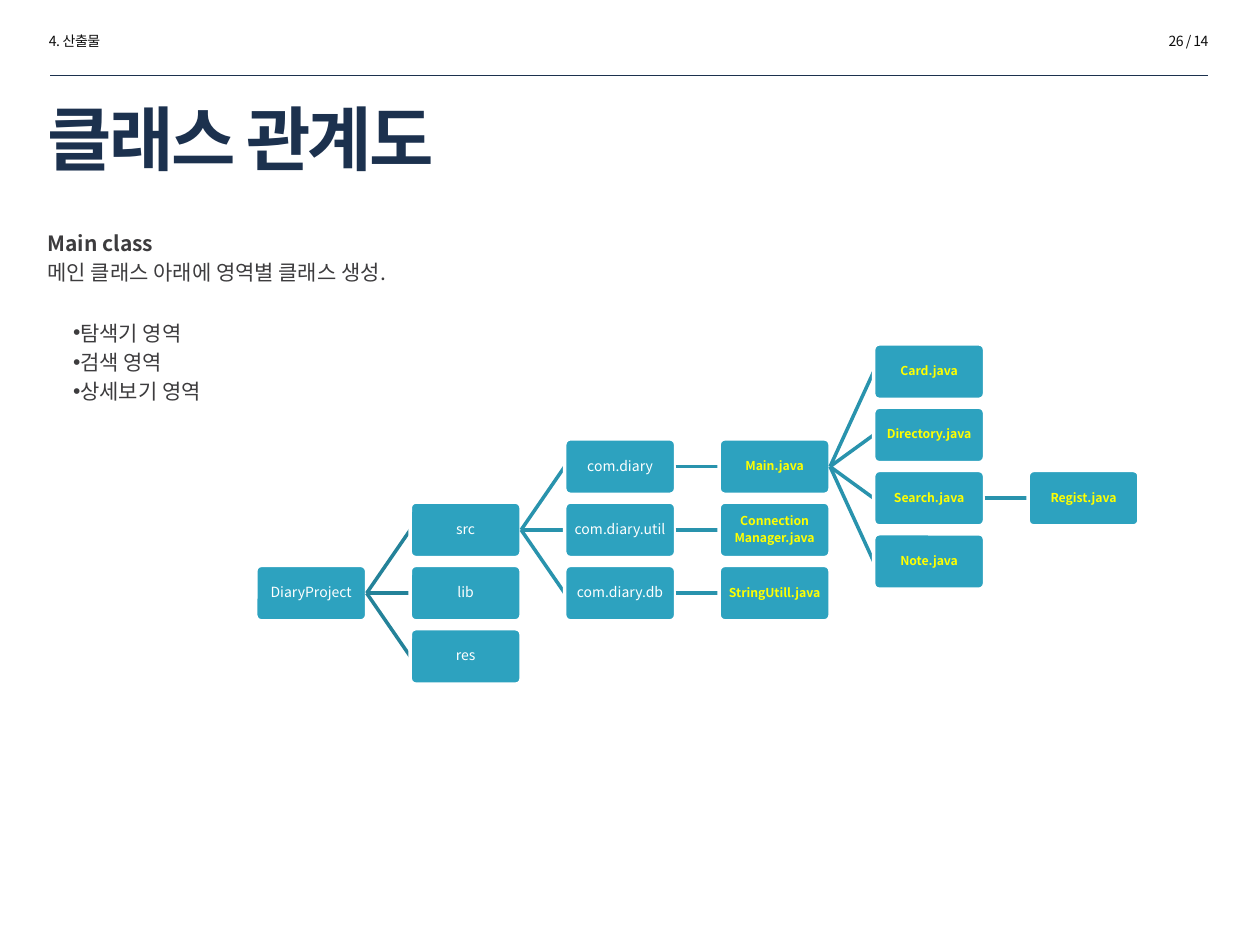
from lxml import etree
from pptx import Presentation
from pptx.dml.color import RGBColor
from pptx.enum.shapes import MSO_CONNECTOR, MSO_SHAPE
from pptx.enum.text import MSO_ANCHOR, MSO_AUTO_SIZE, PP_ALIGN
from pptx.oxml.ns import qn
from pptx.util import Inches, Pt

STRAIGHT = MSO_CONNECTOR.STRAIGHT
ROUNDED = MSO_SHAPE.ROUNDED_RECTANGLE
LEFT, CENTER, RIGHT = PP_ALIGN.LEFT, PP_ALIGN.CENTER, PP_ALIGN.RIGHT
TOP, MIDDLE = MSO_ANCHOR.TOP, MSO_ANCHOR.MIDDLE
RIGHT_SIDE, LEFT_SIDE = 3, 1

NAVY = RGBColor(0x1C, 0x31, 0x4E)
BLACK = RGBColor(0x0D, 0x0D, 0x0D)
GREY = RGBColor(0x3D, 0x3C, 0x3E)
TEAL = RGBColor(0x2D, 0xA2, 0xBF)
ROOT_LINE = RGBColor(0x24, 0x82, 0x99)
BRANCH_LINE = RGBColor(0x29, 0x93, 0xAD)
WHITE = RGBColor(0xFF, 0xFF, 0xFF)
YELLOW = RGBColor(0xFF, 0xFF, 0x00)

FONT = "Noto Sans CJK KR"
MARGIN = 0.28
TEXT_WIDTH = 9.26
TREE_LEFT, TREE_TOP = 2.03, 2.73
COLUMN = (8.16 - TREE_LEFT) / 5
ROW = (4.99 - TREE_TOP) / 4.5
NODE_WIDTH, NODE_HEIGHT = 0.88, 0.44

TREE = ("DiaryProject", 3.5, [
    ("src", 2.5, [
        ("com.diary", 1.5, [
            ("Main.java", 1.5, [
                ("Card.java", 0, []),
                ("Directory.java", 1, []),
                ("Search.java", 2, [("Regist.java", 2, [])]),
                ("Note.java", 3, []),
            ]),
        ]),
        ("com.diary.util", 2.5, [("Connection\nManager.java", 2.5, [])]),
        ("com.diary.db", 3.5, [("StringUtill.java", 3.5, [])]),
    ]),
    ("lib", 3.5, []),
    ("res", 4.5, []),
])


def place(box, left, top, width, height):
    box.left, box.top = Inches(left), Inches(top)
    box.width, box.height = Inches(width), Inches(height)


def add_span(para, text, size, color, bold=False, spacing=0):
    span = para.add_run()
    span.text = text
    span.font.name = FONT
    span.font.size = Pt(size)
    span.font.bold = bold
    span.font.color.rgb = color
    properties = span.font._element
    etree.SubElement(properties, qn("a:ea")).set("typeface", FONT)
    if spacing:
        properties.set("spc", str(round(spacing * 100)))


def next_para(frame, index):
    return frame.add_paragraph() if index else frame.paragraphs[0]


def prepare_frame(box, anchor=TOP):
    frame = box.text_frame
    frame.word_wrap = True
    frame.auto_size = MSO_AUTO_SIZE.NONE
    frame.vertical_anchor = anchor
    return frame


def add_title(page, text):
    title = page.shapes.title
    place(title, MARGIN, 0.77, 7.65, 0.64)
    para = prepare_frame(title, MIDDLE).paragraphs[0]
    para.alignment = LEFT
    add_span(para, text, 40, NAVY, bold=True, spacing=-1.5)


def add_header(page, text, left, alignment):
    box = page.shapes.add_textbox(Inches(left), Inches(0.21), Inches(1.73), Inches(0.24))
    para = prepare_frame(box).paragraphs[0]
    para.alignment = alignment
    add_span(para, text, 8, BLACK, spacing=-0.3)


def add_intro(page, heading, sentence):
    box = page.shapes.add_textbox(Inches(MARGIN), Inches(1.78), Inches(TEXT_WIDTH), Inches(1.39))
    frame = prepare_frame(box)
    for index, text in enumerate((heading, sentence)):
        para = next_para(frame, index)
        para.space_before = Pt(2.4 if index else 0)
        add_span(para, text, 12, GREY, bold=index == 0)


def add_bullets(page, items):
    body = page.placeholders[1]
    place(body, MARGIN, 2.49, TEXT_WIDTH, 1.39)
    frame = prepare_frame(body)
    for index, text in enumerate(items):
        para = next_para(frame, index)
        para.space_before = Pt(2.4 if index else 0)
        properties = para._p.get_or_add_pPr()
        properties.set("marL", str(Inches(0.2)))
        properties.set("indent", "0")
        etree.SubElement(properties, qn("a:buChar")).set("char", "•")
        add_span(para, text, 12, GREY)


def add_line(page, start, end, color, width):
    points = [Inches(value) for value in (*start, *end)]
    line = page.shapes.add_connector(STRAIGHT, *points)
    line.line.color.rgb = color
    line.line.width = Pt(width)
    etree.SubElement(line._element.spPr, qn("a:effectLst"))
    return line


def add_node(page, text, column, row):
    node = page.shapes.add_shape(
        ROUNDED, Inches(TREE_LEFT + column * COLUMN), Inches(TREE_TOP + row * ROW),
        Inches(NODE_WIDTH), Inches(NODE_HEIGHT))
    node.adjustments[0] = 0.1
    node.shadow.inherit = False
    node.fill.solid()
    node.fill.fore_color.rgb = TEAL
    node.line.color.rgb = WHITE
    node.line.width = Pt(2)
    frame = prepare_frame(node, MIDDLE)
    frame.margin_left = frame.margin_right = Inches(0.01)
    frame.margin_top = frame.margin_bottom = Inches(0.01)
    is_class = text.endswith(".java")
    size, color = (7, YELLOW) if is_class else (8, WHITE)
    for index, part in enumerate(text.split("\n")):
        para = next_para(frame, index)
        para.alignment = CENTER
        para.line_spacing = 0.9
        para.space_after = Pt(size * 0.35)
        add_span(para, part, size, color, bold=is_class)
    return node


def join_nodes(page, parent, child, color):
    line = add_line(page, (0, 0), (1, 1), color, 2)
    line.begin_connect(parent, RIGHT_SIDE)
    line.end_connect(child, LEFT_SIDE)
    child._element.addprevious(line._element)


def add_tree(page, branch, column=0):
    text, row, children = branch
    node = add_node(page, text, column, row)
    for child in children:
        child_node = add_tree(page, child, column + 1)
        join_nodes(page, node, child_node, BRANCH_LINE if column else ROOT_LINE)
    return node


def main():
    deck = Presentation()
    deck.slide_width, deck.slide_height = Inches(10), Inches(7.5)
    page = deck.slides.add_slide(deck.slide_layouts[1])
    add_line(page, (0.4, 0.6), (9.59, 0.6), NAVY, 0.25)
    add_title(page, "클래스 관계도")
    add_header(page, "4. 산출물", 0.29, LEFT)
    add_header(page, "26 / 14", 7.96, RIGHT)
    add_intro(page, "Main class", "메인 클래스 아래에 영역별 클래스 생성.")
    add_bullets(page, ("탐색기 영역", "검색 영역", "상세보기 영역"))
    add_tree(page, TREE)
    deck.save("out.pptx")


if __name__ == "__main__":
    main()
